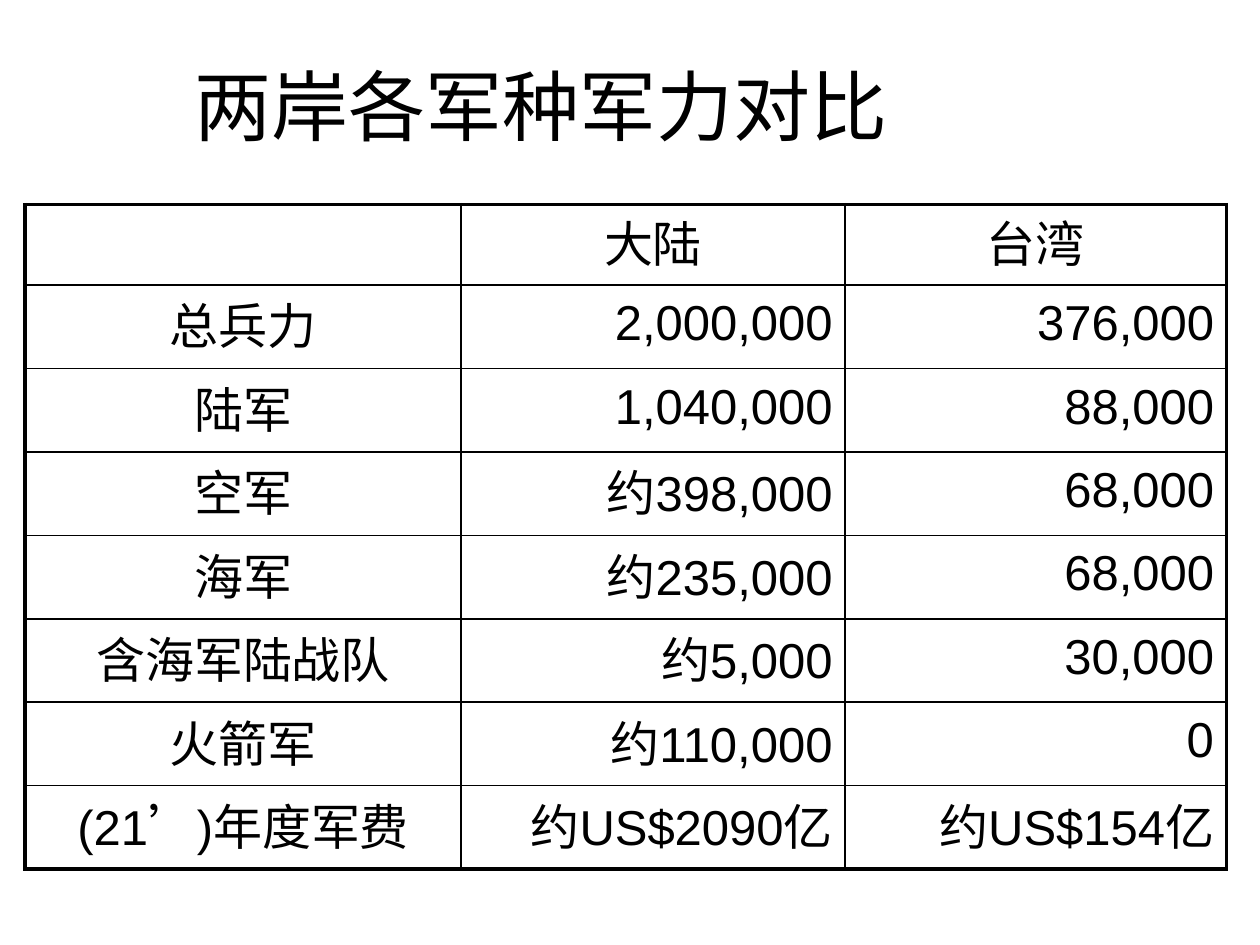
"""Build a slide with a title and a table comparing military strength."""
from dataclasses import dataclass

from lxml.etree import SubElement
from pptx import Presentation
from pptx.dml.color import RGBColor
from pptx.enum.text import MSO_ANCHOR as Anchor, PP_ALIGN as Align
from pptx.oxml.ns import qn
from pptx.util import Pt


@dataclass(frozen=True)
class Theme:
    ink: str = "000000"
    title_font: str = "Roboto"
    body_font: str = "Arial"
    title_size: float = 44
    body_size: float = 28
    outer_line: float = 2.25
    inner_line: float = 1


THEME = Theme()
COLUMN_WIDTHS = (249, 219.5, 218)
ROW_HEIGHTS = (46,) + (47.7,) * 7
ROWS = (
    ("", "大陆", "台湾"),
    ("总兵力", "2,000,000", "376,000"),
    ("陆军", "1,040,000", "88,000"),
    ("空军", "约398,000", "68,000"),
    ("海军", "约235,000", "68,000"),
    ("含海军陆战队", "约5,000", "30,000"),
    ("火箭军", "约110,000", "0"),
    ("(21’)年度军费", "约US$2090亿", "约US$154亿"),
)


def format_paragraph(paragraph, font_name, size, alignment):
    paragraph.alignment = alignment
    paragraph.space_before = Pt(0)
    font = paragraph.font
    font.name, font.size = font_name, Pt(size)
    font.color.rgb = RGBColor.from_string(THEME.ink)


def add_title(slide, text):
    title = slide.shapes.title
    title.left, title.top, title.width, title.height = Pt(14.4), Pt(15.1), Pt(589.7), Pt(90)
    frame = title.text_frame
    frame.text = text
    frame.word_wrap = True
    frame.vertical_anchor = Anchor.MIDDLE
    format_paragraph(frame.paragraphs[0], THEME.title_font, THEME.title_size, Align.CENTER)


def set_borders(cell, outer_sides):
    properties = cell._tc.get_or_add_tcPr()
    for side in "LRTB":
        width = THEME.outer_line if side in outer_sides else THEME.inner_line
        line = SubElement(properties, qn(f"a:ln{side}"), w=str(Pt(width)))
        fill = SubElement(line, qn("a:solidFill"))
        SubElement(fill, qn("a:srgbClr"), val=THEME.ink)


def fill_cell(cell, text, alignment):
    cell.vertical_anchor = Anchor.MIDDLE
    cell.margin_left = cell.margin_right = Pt(7.2)
    cell.margin_top, cell.margin_bottom = Pt(0), Pt(3.6)
    paragraph = cell.text_frame.paragraphs[0]
    before, quote, after = text.partition("’")
    for part in filter(None, (before, quote, after)):
        run = paragraph.add_run()
        run.text = part
        if part == "’":
            run.font.name = THEME.title_font
    format_paragraph(paragraph, THEME.body_font, THEME.body_size, alignment)


def add_strength_table(slide, rows):
    last_row, last_column = len(rows) - 1, len(COLUMN_WIDTHS) - 1
    frame = slide.shapes.add_table(
        len(rows), len(COLUMN_WIDTHS), Pt(14.4), Pt(116.9),
        Pt(sum(COLUMN_WIDTHS)), Pt(sum(ROW_HEIGHTS)))
    table = frame.table
    table.first_row = table.horz_banding = False
    for column, width in zip(table.columns, COLUMN_WIDTHS):
        column.width = Pt(width)
    for row, height in zip(table.rows, ROW_HEIGHTS):
        row.height = Pt(height)
    for r, values in enumerate(rows):
        for c, value in enumerate(values):
            cell = table.cell(r, c)
            edges = {"T": r == 0, "B": r == last_row, "L": c == 0, "R": c == last_column}
            set_borders(cell, [side for side, is_outer in edges.items() if is_outer])
            cell.fill.background()
            fill_cell(cell, value, Align.RIGHT if r and c else Align.CENTER)


def main():
    presentation = Presentation()
    presentation.slide_width, presentation.slide_height = Pt(720), Pt(540)
    slide = presentation.slides.add_slide(presentation.slide_layouts[5])
    add_title(slide, "两岸各军种军力对比")
    add_strength_table(slide, ROWS)
    presentation.save("out.pptx")


if __name__ == "__main__":
    main()
